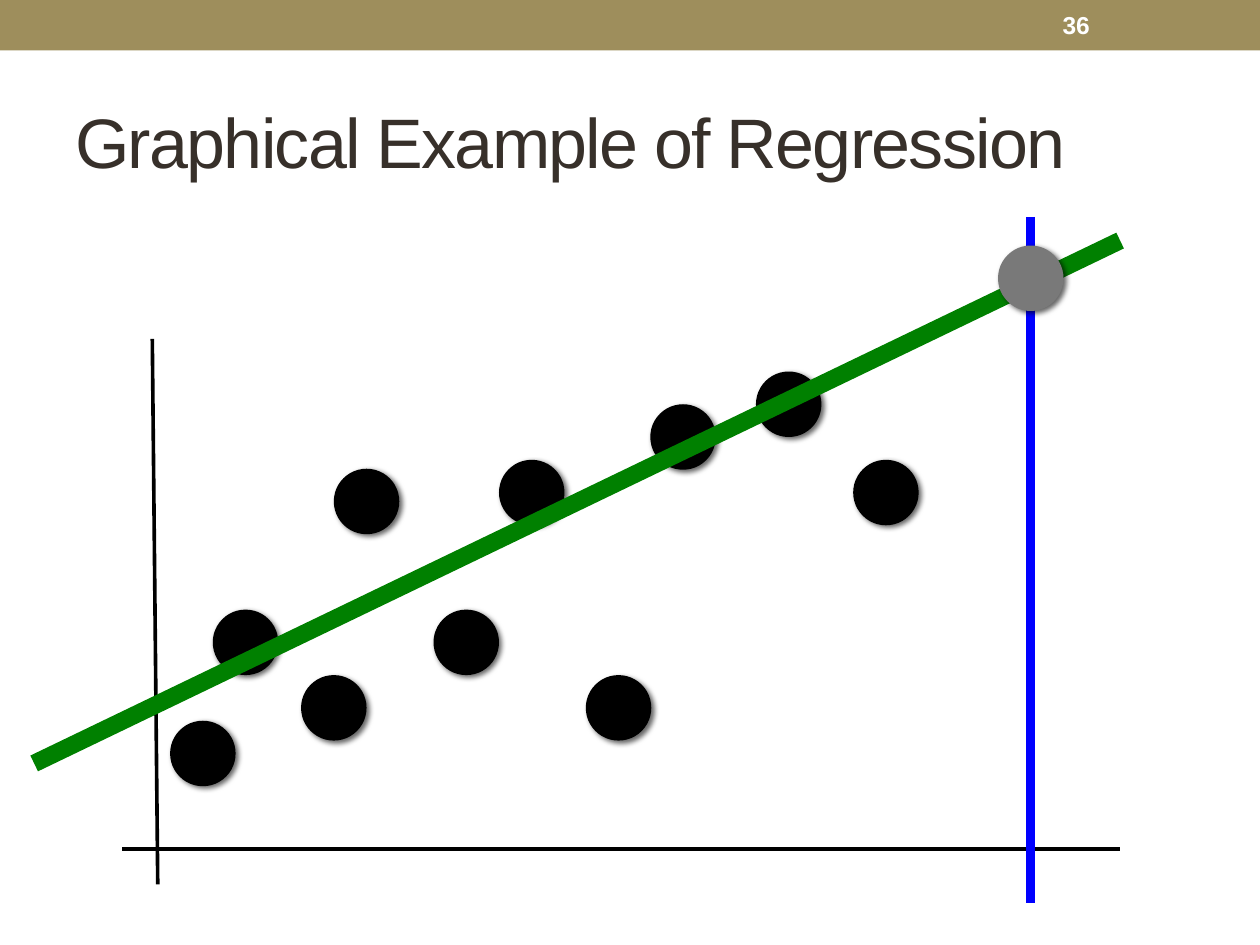
from lxml.etree import SubElement
from pptx import Presentation
from pptx.dml.color import RGBColor
from pptx.enum.shapes import MSO_CONNECTOR, MSO_SHAPE
from pptx.enum.text import MSO_ANCHOR, PP_ALIGN
from pptx.oxml.ns import qn
from pptx.util import Cm, Pt

COLORS = {
    "band": "9E8E5C", "title": "37302A", "number": "FFFFFF", "axis": "000000",
    "sample": "000000", "fit": "008000", "query": "0000FF",
    "prediction": "797979", "shadow": "000000",
}
DOT_SIZE = 1.32

# Centres of the observed samples, in cm from the corner of the plot
SAMPLES = [
    (17.17, 5.56), (15.21, 3.78), (11.78, 9.9), (6.7, 5.74), (10.03, 5.56),
    (6.04, 9.9), (4.26, 8.58), (3.4, 10.82), (8.71, 8.58), (13.08, 4.44),
]


def color(name):
    return RGBColor.from_string(COLORS[name])


def add_text(slide, box, text, color_name, **font_format):
    text_box = slide.shapes.add_textbox(*map(Cm, box))
    frame = text_box.text_frame
    frame.word_wrap = True
    frame.vertical_anchor = MSO_ANCHOR.MIDDLE
    paragraph = frame.paragraphs[0]
    paragraph.alignment = PP_ALIGN.LEFT
    run = paragraph.add_run()
    run.text = text
    run.font.name = "Arial"
    run.font.color.rgb = color(color_name)
    for name, value in font_format.items():
        setattr(run.font, name, value)
    return run


def add_filled(slide, kind, box, color_name):
    shape = slide.shapes.add_shape(kind, *map(Cm, box))
    shape.shadow.inherit = False
    shape.fill.solid()
    shape.fill.fore_color.rgb = color(color_name)
    shape.line.fill.background()
    return shape


def add_line(slide, start, end, color_name, width):
    line = slide.shapes.add_connector(MSO_CONNECTOR.STRAIGHT, *map(Cm, start + end))
    line.line.color.rgb = color(color_name)
    line.line.width = Pt(width)
    SubElement(line._element.spPr, qn("a:effectLst"))


def add_dot(slide, center, color_name):
    x, y = center
    box = (x - DOT_SIZE / 2, y - DOT_SIZE / 2, DOT_SIZE, DOT_SIZE)
    dot = add_filled(slide, MSO_SHAPE.OVAL, box, color_name)
    # Soft shadow to the lower right
    effects = dot._element.spPr.find(qn("a:effectLst"))
    shadow = SubElement(effects, qn("a:outerShdw"), blurRad=str(Pt(3)),
                        dist=str(Pt(2)), dir=str(45 * 60000), rotWithShape="0")
    shade = SubElement(shadow, qn("a:srgbClr"), val=COLORS["shadow"])
    SubElement(shade, qn("a:alpha"), val="60000")


def add_header(slide, left, top, width, height):
    add_filled(slide, MSO_SHAPE.RECTANGLE, (left, top, width, height), "band")
    add_text(slide, (left + 21.17, top + 0.05, 2.97, 0.91), "36", "number",
             size=Pt(14), bold=True)


def add_title(slide, left, top, width, height):
    run = add_text(slide, (left, top, width, height),
                   "Graphical Example of Regression", "title", size=Pt(40))
    run.font._element.set("spc", "-100")


def add_regression_plot(slide, left, top, width, height):
    def at(x, y):
        return left + x, top + y

    # Axes
    add_line(slide, at(2.38, 2.46), at(2.49, 13.46), "axis", 2.08)
    add_line(slide, at(1.77, 12.75), at(width, 12.75), "axis", 2.08)

    # Observed samples
    for sample in SAMPLES:
        add_dot(slide, at(*sample), "sample")

    # Query value, fitted line and the prediction where they meet
    query_x = 20.09
    add_line(slide, at(query_x, 0), at(query_x, height), "query", 5)
    add_line(slide, at(0, 11.02), at(width, 0.48), "fit", 10)
    add_dot(slide, at(query_x, 1.24), "prediction")


def main():
    presentation = Presentation()
    presentation.slide_width = Cm(25.4)
    presentation.slide_height = Cm(19.05)
    slide = presentation.slides.add_slide(presentation.slide_layouts[6])
    add_header(slide, 0, 0, 25.4, 1.02)
    add_title(slide, 1.27, 1.47, 22.86, 2.74)
    add_regression_plot(slide, 0.69, 4.37, 21.89, 13.84)
    presentation.save("out.pptx")


if __name__ == "__main__":
    main()
